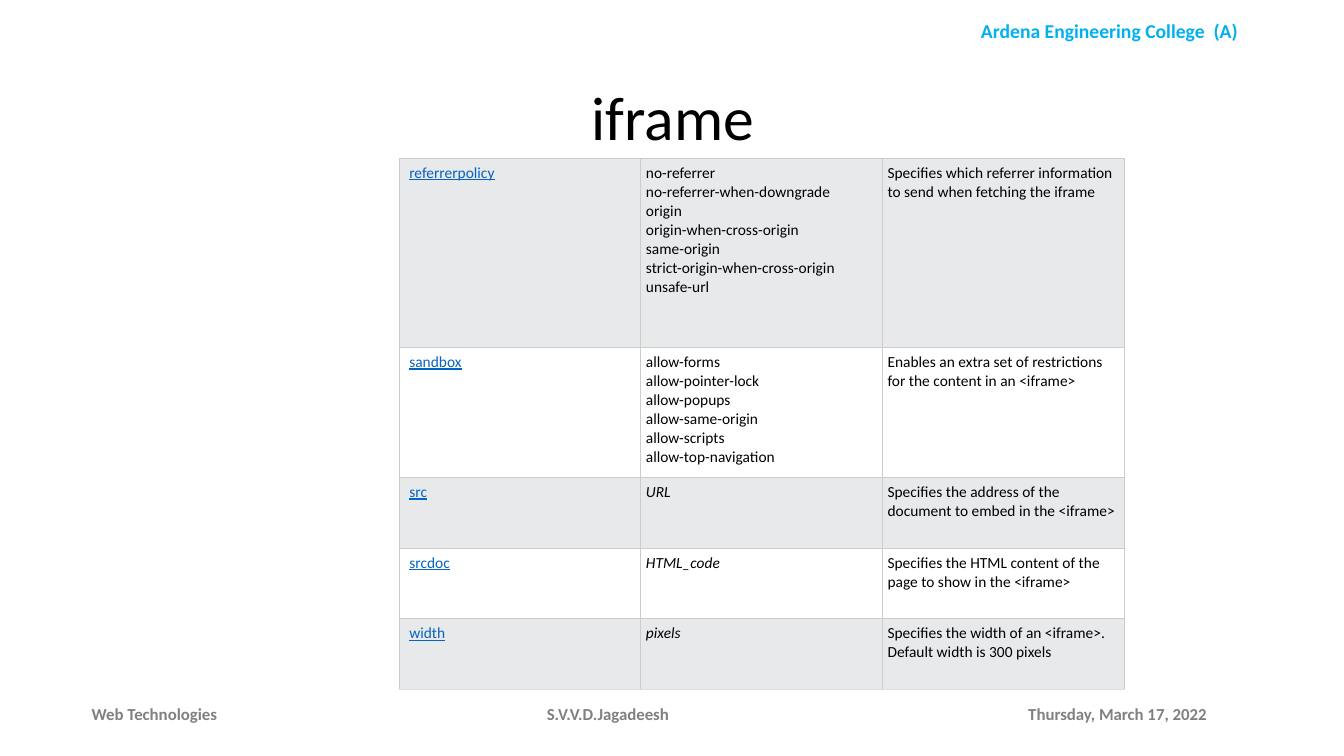
from dataclasses import dataclass

from lxml import etree
from pptx import Presentation
from pptx.dml.color import RGBColor
from pptx.enum.text import MSO_ANCHOR, MSO_AUTO_SIZE, PP_ALIGN
from pptx.oxml.ns import qn
from pptx.util import Inches, Pt

LEFT, CENTER, JUSTIFY = PP_ALIGN.LEFT, PP_ALIGN.CENTER, PP_ALIGN.JUSTIFY
TOP, MIDDLE = MSO_ANCHOR.TOP, MSO_ANCHOR.MIDDLE
NO_AUTOSIZE = MSO_AUTO_SIZE.NONE
TITLE_ONLY = 5


@dataclass(frozen=True)
class Theme:
    """Colours, font and type sizes of the slide."""
    font: str = "Calibri"
    ink: str = "000000"
    college: str = "00B0F0"
    footer: str = "808080"
    link: str = "0563C1"
    band: str = "E7E9EB"
    plain: str = "FFFFFF"
    border: str = "CCCCCC"
    last_border: str = "DDDDDD"
    title_size: int = 44
    college_size: int = 14
    footer_size: int = 12
    table_size: int = 11
    border_width: float = 0.75


THEME = Theme()

# Attribute, its values (one per line) and its description
ATTRIBUTES = [
    ("referrerpolicy",
     "no-referrer\nno-referrer-when-downgrade\norigin\norigin-when-cross-origin\n"
     "same-origin\nstrict-origin-when-cross-origin\nunsafe-url",
     "Specifies which referrer information to send when fetching the iframe"),
    ("sandbox",
     "allow-forms\nallow-pointer-lock\nallow-popups\nallow-same-origin\n"
     "allow-scripts\nallow-top-navigation",
     "Enables an extra set of restrictions for the content in an <iframe>"),
    ("src", "URL",
     "Specifies the address of the document to embed in the <iframe>"),
    ("srcdoc", "HTML_code",
     "Specifies the HTML content of the page to show in the <iframe>"),
    ("width", "pixels",
     "Specifies the width of an <iframe>. Default width is 300 pixels"),
]
ROW_HEIGHTS = [1.88, 1.29, 0.7, 0.7, 0.7]


def set_attributes(target, values):
    """Set each attribute of target from a dict of values."""
    for attribute, value in values.items():
        setattr(target, attribute, value)


def write(frame, text, size, color, align=LEFT, **font_values):
    """Fill a text frame with one formatted paragraph per line of text."""
    frame.text = text
    for paragraph in frame.paragraphs:
        paragraph.alignment = align
        for run in paragraph.runs:
            set_attributes(run.font, {"name": THEME.font, "size": Pt(size),
                                      "bold": False, **font_values})
            run.font.color.rgb = RGBColor.from_string(color)


def add_label(slide, box, text, size, color, align, anchor):
    """Add a bold line of text in the given box."""
    frame = slide.shapes.add_textbox(*map(Inches, box)).text_frame
    set_attributes(frame, {"word_wrap": True, "vertical_anchor": anchor})
    write(frame, text, size, color, align, bold=True)


def add_header(slide, box):
    """Add the college name at the top right."""
    add_label(slide, box, "Ardena Engineering College  (A)",
              THEME.college_size, THEME.college, CENTER, TOP)


def add_footer(slide, box):
    """Add course, lecturer and date along the bottom box."""
    left, top, _, height = box
    for offset, width, text, align in [
            (0, 2.11, "Web Technologies", JUSTIFY),
            (3.72, 3, "S.V.V.D.Jagadeesh", CENTER),
            (9.29, 2.3, "Thursday, March 17, 2022", LEFT)]:
        add_label(slide, (left + offset, top, width, height), text,
                  THEME.footer_size, THEME.footer, align, MIDDLE)


def place_title(slide, box, text):
    """Move and format the title placeholder."""
    title = slide.shapes.title
    left, top, width, height = map(Inches, box)
    set_attributes(title, {"left": left, "top": top,
                           "width": width, "height": height})
    set_attributes(title.text_frame, {"vertical_anchor": TOP, "word_wrap": True,
                                      "auto_size": NO_AUTOSIZE})
    write(title.text_frame, text, THEME.title_size, THEME.ink, CENTER)


def set_borders(cell, bottom_color):
    """Draw the four borders of a cell."""
    properties = cell._tc.get_or_add_tcPr()
    for side in ("lnL", "lnR", "lnT", "lnB"):
        line = etree.SubElement(properties, qn(f"a:{side}"),
                                w=str(Pt(THEME.border_width)))
        fill = etree.SubElement(line, qn("a:solidFill"))
        color = bottom_color if side == "lnB" else THEME.border
        etree.SubElement(fill, qn("a:srgbClr"), val=color)


def add_attribute_table(slide, box):
    """Add the table of iframe attributes, banded by row."""
    columns = len(ATTRIBUTES[0])
    table = slide.shapes.add_table(len(ATTRIBUTES), columns,
                                   *map(Inches, box)).table
    set_attributes(table, {"first_row": False, "horz_banding": False})
    for column in table.columns:
        column.width = Inches(box[2] / columns)

    column_fonts = [{"underline": True}, {}, {}]
    for row_index, (texts, height) in enumerate(zip(ATTRIBUTES, ROW_HEIGHTS)):
        table.rows[row_index].height = Inches(height)
        is_last = row_index == len(ATTRIBUTES) - 1
        # Single placeholder values are italic; lists of keywords are upright
        column_fonts[1] = {"italic": "\n" not in texts[1]}
        for column_index, text in enumerate(texts):
            cell = table.cell(row_index, column_index)
            is_link = column_index == 0
            small = Inches(0.05)
            set_attributes(cell, {
                "margin_left": Inches(0.1) if is_link else small,
                "margin_top": small, "margin_right": small,
                "margin_bottom": small, "vertical_anchor": TOP})
            set_borders(cell, THEME.last_border if is_last else THEME.border)
            cell.fill.solid()
            cell.fill.fore_color.rgb = RGBColor.from_string(
                THEME.plain if row_index % 2 else THEME.band)
            write(cell.text_frame, text, THEME.table_size,
                  THEME.link if is_link else THEME.ink,
                  **column_fonts[column_index])


def build_iframe_slide(presentation):
    """Add the slide on the iframe attributes."""
    slide = presentation.slides.add_slide(presentation.slide_layouts[TITLE_ONLY])
    add_header(slide, (9.09, 0.14, 3.83, 0.34))
    add_footer(slide, (0.81, 6.88, 11.59, 0.4))
    place_title(slide, (1.2, 0.73, 10.95, 0.84), "iframe")
    add_attribute_table(slide, (3.96, 1.57, 7.19, sum(ROW_HEIGHTS)))


presentation = Presentation()
set_attributes(presentation, {"slide_width": Inches(13.33),
                              "slide_height": Inches(7.5)})
build_iframe_slide(presentation)
presentation.save("out.pptx")
